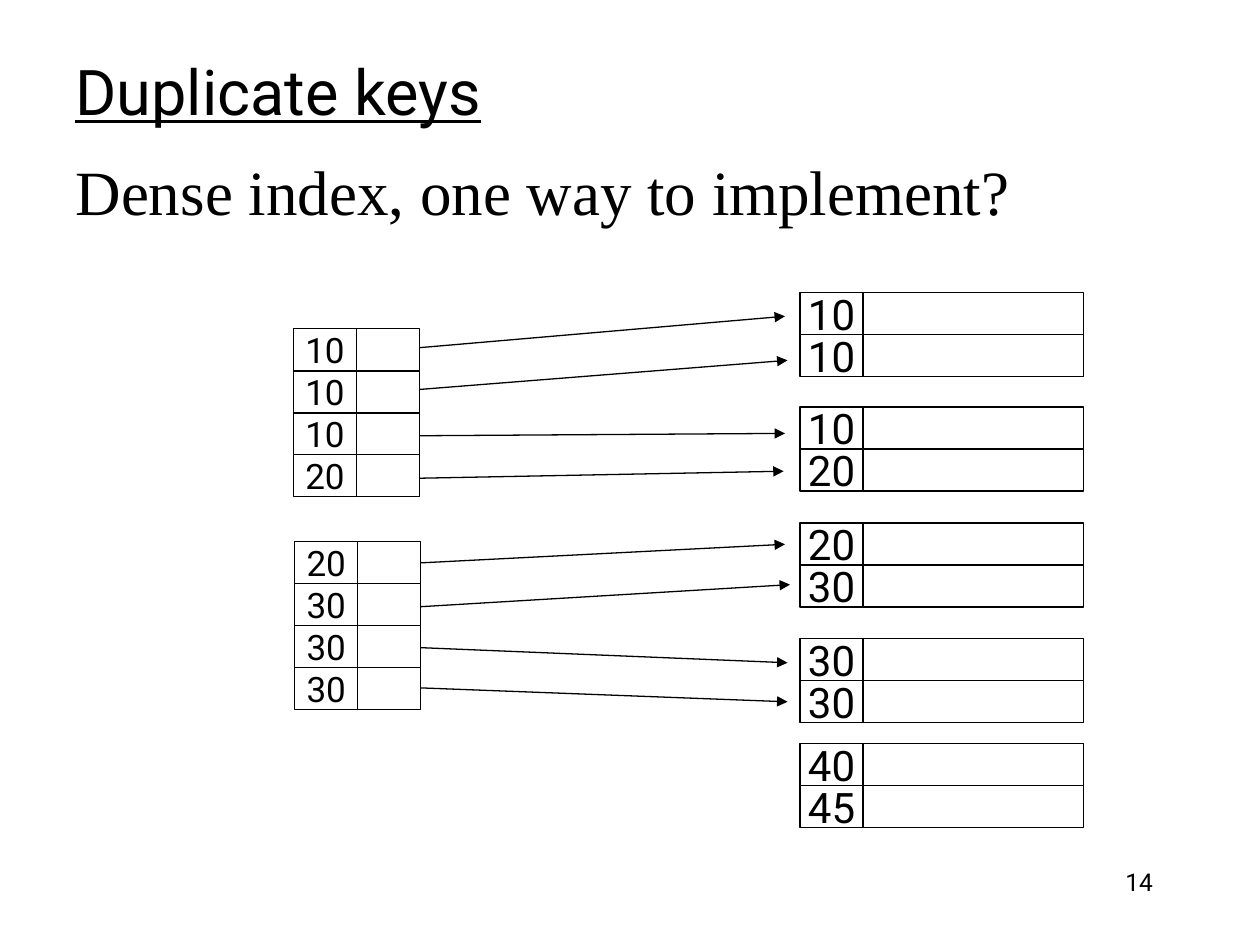
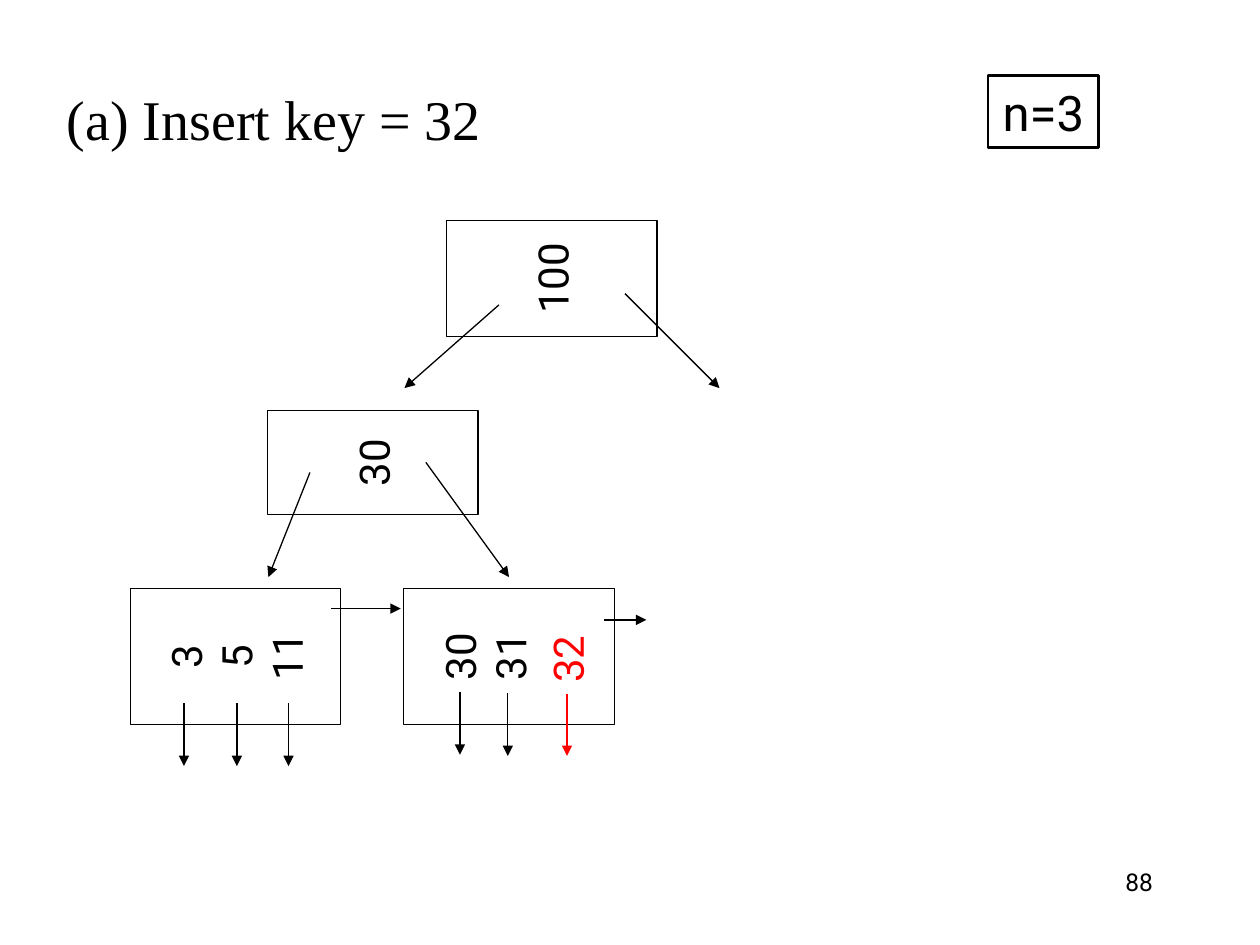
from dataclasses import dataclass

from lxml.etree import SubElement
from pptx import Presentation
from pptx.dml.color import RGBColor
from pptx.enum.shapes import MSO_CONNECTOR, MSO_SHAPE
from pptx.enum.text import MSO_ANCHOR, MSO_AUTO_SIZE, PP_ALIGN
from pptx.oxml.ns import qn
from pptx.util import Inches, Pt


@dataclass(frozen=True)
class Theme:
    ink: RGBColor = RGBColor(0, 0, 0)
    paper: RGBColor = RGBColor(255, 255, 255)
    accent: RGBColor = RGBColor(255, 0, 0)
    sans: str = "Roboto"
    serif: str = "Times New Roman"
    heading: int = 36
    subheading: int = 32
    badge: int = 28
    key: int = 24
    index_key: int = 20
    page: int = 14
    thin: float = 0.75
    thick: float = 1.5


THEME = Theme()
CELL_H = 1 / 3
KEY_W = 0.5
RECORD_W = 1.75
NODE_W = 1.67


def fill_text(tf, lines, size, font=THEME.sans, color=THEME.ink,
              align=PP_ALIGN.CENTER, anchor=MSO_ANCHOR.MIDDLE, wrap=False):
    tf.auto_size = MSO_AUTO_SIZE.NONE
    tf.word_wrap = wrap
    tf.vertical_anchor = anchor
    tf.text = "\n".join(lines)
    for p in tf.paragraphs:
        p.alignment = align
        p.space_before = Pt(0)
        p.font.size = Pt(size)
        p.font.name = font
        p.font.color.rgb = color


def add_title(s, text, box, size):
    title = s.shapes.title
    title.left, title.top, title.width, title.height = map(Inches, box)
    fill_text(title.text_frame, [text], size, THEME.serif,
              align=PP_ALIGN.LEFT, wrap=True)


def add_text(s, text, box, size, **style):
    tb = s.shapes.add_textbox(*map(Inches, box))
    fill_text(tb.text_frame, [text], size, **style)
    return tb


def add_page_number(s, number):
    add_text(s, str(number), (7.17, 6.83, 2.08, 0.5), THEME.page,
             align=PP_ALIGN.RIGHT, anchor=MSO_ANCHOR.TOP, wrap=True)


def add_box(shapes, box, lines=(), size=THEME.key, line_width=THEME.thin):
    sp = shapes.add_shape(MSO_SHAPE.RECTANGLE, *map(Inches, box))
    sp.shadow.inherit = False
    sp.fill.solid()
    sp.fill.fore_color.rgb = THEME.paper
    sp.line.color.rgb = THEME.ink
    sp.line.width = Pt(line_width)
    if lines:
        fill_text(sp.text_frame, lines, size)
    return sp


def add_arrow(s, start, end, color=THEME.ink):
    cxn = s.shapes.add_connector(MSO_CONNECTOR.STRAIGHT,
                                 *map(Inches, (*start, *end)))
    cxn.line.color.rgb = color
    cxn.line.width = Pt(THEME.thin)
    SubElement(cxn.line._get_or_add_ln(), qn("a:tailEnd"), type="triangle")
    SubElement(cxn._element.spPr, qn("a:effectLst"))


def add_key_block(s, left, top, keys, value_w, size):
    shapes = s.shapes.add_group_shape().shapes
    for row, key in enumerate(keys):
        y = top + row * CELL_H
        add_box(shapes, (left, y, KEY_W, CELL_H), [key], size)
        add_box(shapes, (left + KEY_W, y, value_w, CELL_H))


def add_node(s, center_x, center_y, height, keys):
    box = (center_x - height / 2, center_y - NODE_W / 2, height, NODE_W)
    node = add_box(s.shapes, box, keys)
    node.rotation = 270
    return node


def build_duplicate_keys(prs):
    s = prs.slides.add_slide(prs.slide_layouts[5])
    add_title(s, "Dense index, one way to implement?",
              (0.5, 1, 8.67, 1.02), THEME.heading)
    heading = add_text(s, "Duplicate keys", (0.5, 0.33, 3.67, 0.77),
                       THEME.heading, align=PP_ALIGN.LEFT, wrap=True)
    heading.text_frame.paragraphs[0].font.underline = True

    pointers = [
        (2.78, 6.23, 2.51), (3.11, 6.25, 2.86),
        (3.46, 6.23, 3.44), (3.8, 6.22, 3.74),
        (4.48, 6.23, 4.32), (4.83, 6.27, 4.64),
        (5.13, 6.25, 5.26), (5.45, 6.25, 5.57),
    ]
    for start_y, end_x, end_y in pointers:
        add_arrow(s, (3.09, start_y), (end_x, end_y))

    records = [
        (2.32, ("10", "10")), (3.23, ("10", "20")), (4.15, ("20", "30")),
        (5.07, ("30", "30")), (5.9, ("40", "45")),
    ]
    for top, keys in records:
        add_key_block(s, 6.35, top, keys, RECORD_W, THEME.key)

    index_blocks = [
        (2.33, 2.61, ("10", "10", "10", "20")),
        (2.34, 4.3, ("20", "30", "30", "30")),
    ]
    for left, top, keys in index_blocks:
        add_key_block(s, left, top, keys, KEY_W, THEME.index_key)
    add_page_number(s, 14)


def build_insert_key(prs):
    s = prs.slides.add_slide(prs.slide_layouts[5])
    add_title(s, "(a) Insert key = 32", (0.43, 0.61, 7.2, 0.65),
              THEME.subheading)
    add_box(s.shapes, (7.84, 0.6, 0.88, 0.57), ["n=3"], THEME.badge,
            THEME.thick)

    add_node(s, 4.38, 2.21, 0.92, ["100"])
    add_node(s, 2.96, 3.67, 0.83, ["30"])
    add_node(s, 1.87, 5.21, 1.08, ["3", "5", "11"])
    open_leaf = add_node(s, 4.04, 5.21, 1.08, ["30", "31"])
    open_leaf.text_frame.margin_bottom = Inches(0.44)

    child_arrows = [
        ((3.96, 2.42), (3.21, 3.08)), ((4.96, 2.33), (5.71, 3.08)),
        ((2.46, 3.75), (2.13, 4.58)), ((3.38, 3.67), (4.04, 4.58)),
    ]
    sibling_arrows = [
        ((2.63, 4.83), (3.18, 4.83)), ((4.79, 4.92), (5.13, 4.92)),
    ]
    for start, end in child_arrows + sibling_arrows:
        add_arrow(s, start, end)
    for x, y in [(1.46, 5.58), (1.88, 5.58), (2.29, 5.58),
                 (3.65, 5.49), (4.03, 5.5)]:
        add_arrow(s, (x, y), (x, y + 0.5))

    new_key = add_text(s, "32", (4.21, 4.98, 0.58, 0.5), THEME.key,
                       color=THEME.accent)
    new_key.rotation = 270
    add_arrow(s, (4.5, 5.51), (4.5, 6), THEME.accent)
    add_page_number(s, 88)


def main():
    prs = Presentation()
    prs.slide_width = Inches(10)
    prs.slide_height = Inches(7.5)
    build_duplicate_keys(prs)
    build_insert_key(prs)
    prs.save("out.pptx")


if __name__ == "__main__":
    main()
